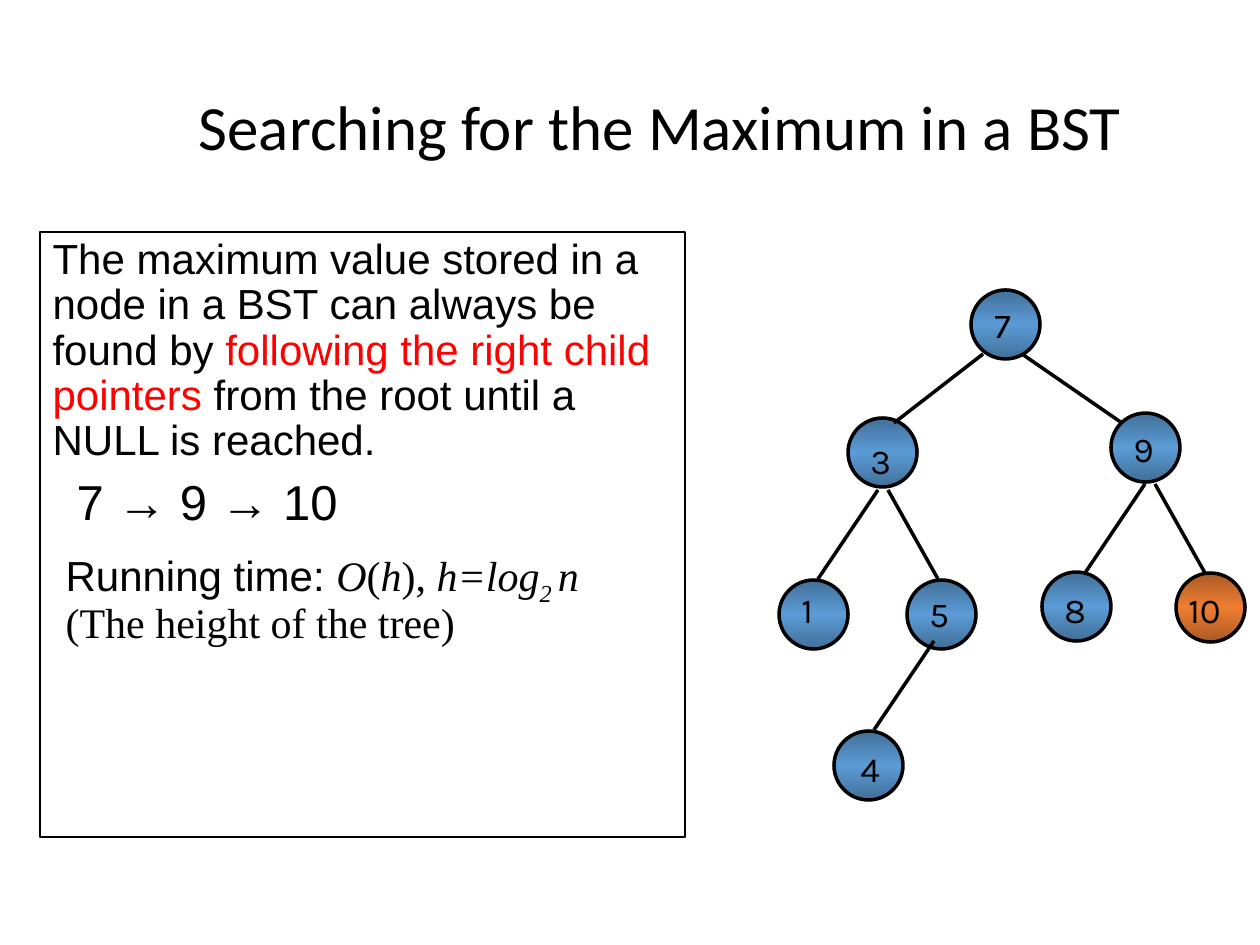
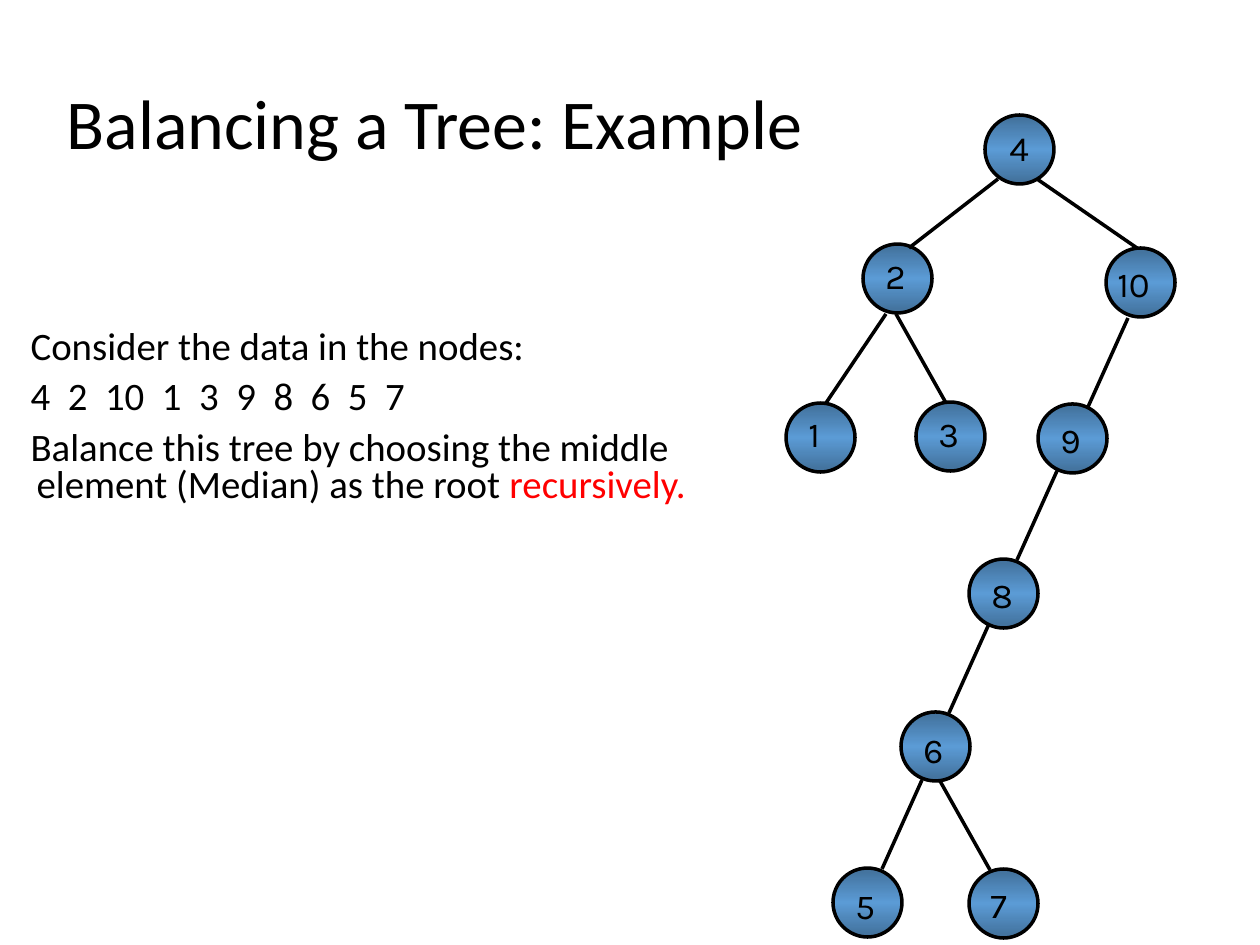
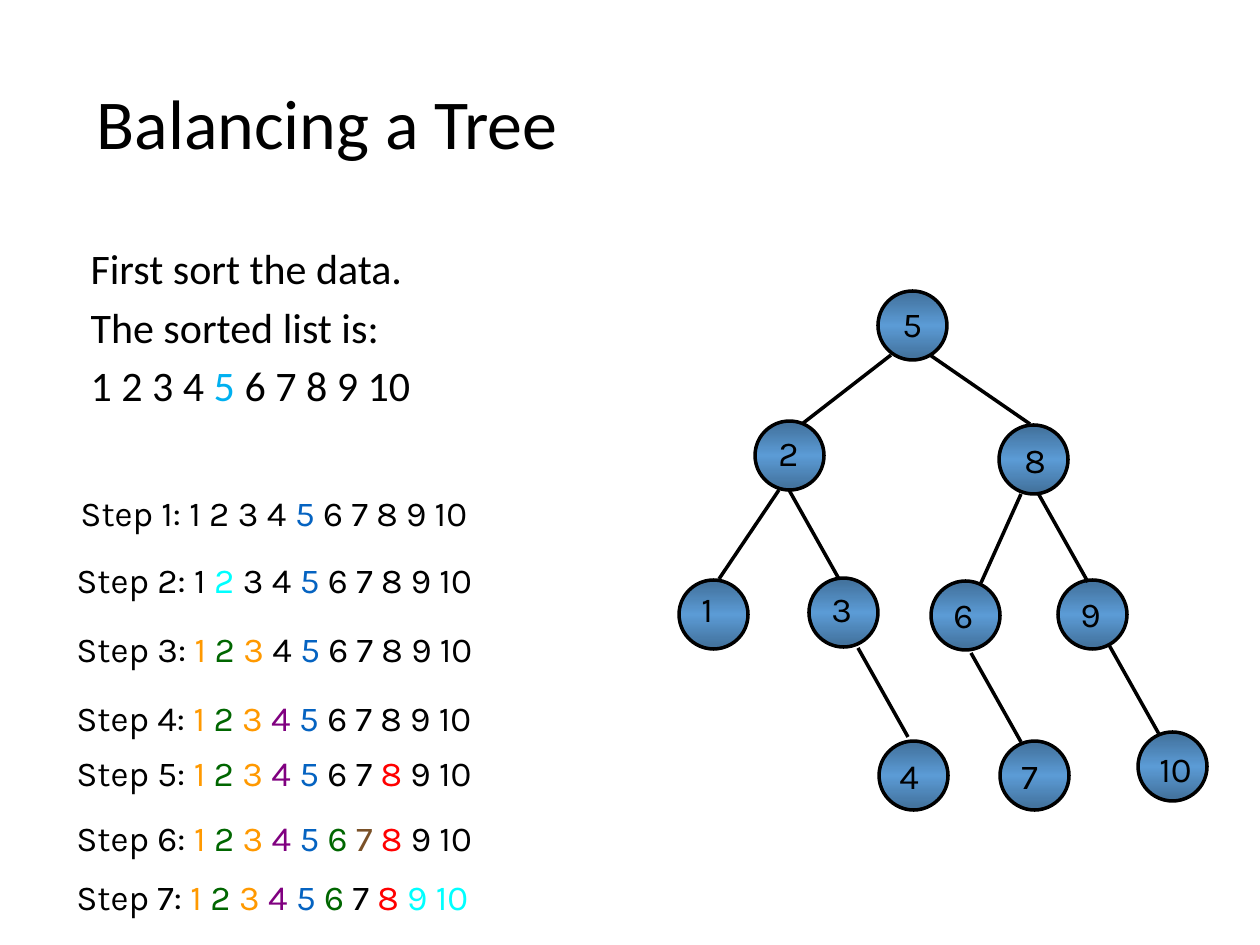
import copy
import itertools

import lxml.etree
import pptx
import pptx.dml.color
import pptx.enum.shapes
import pptx.enum.text
import pptx.oxml.ns
import pptx.util

PX = 914400 / 126
BLACK, RED, SKY = "000000", "FF0000", "00B0F0"
ORANGE, GREEN, PURPLE = "FF9900", "006600", "800080"
BLUE, BROWN, CYAN = "0563C1", "7A5128", "00FFFF"
NODE_BLUE, NODE_ORANGE = "5B9BD5", "ED7D31"

NODE_SIZE, LABEL_HEIGHT = 69, 54
LABEL_FORMAT = {"name": "Karla", "size": 20}

# Horizontal and vertical run of each kind of tree edge
ROOT_LEFT, ROOT_RIGHT = (-89, 69), (100, 69)
LEFT, STEEP_LEFT, RIGHT = (-60, 89), (-40, 89), (50, 89)

# Nodes: value, circle corner, label corner. Edges: start, kind.
MAXIMUM_NODES = [
    (7, (971, 290), (982, 297)),
    (3, (848, 418), (858, 433)),
    (9, (1111, 413), (1121, 421)),
    (1, (779, 580), (789, 582)),
    (5, (907, 580), (917, 586)),
    (8, (1042, 572), (1052, 582)),
    (10, (1176, 573), (1176, 582)),
    (4, (834, 731), (848, 741)),
]
MAXIMUM_EDGES = [
    ((983, 354), ROOT_LEFT), ((1022, 354), ROOT_RIGHT),
    ((878, 490), LEFT), ((888, 490), RIGHT),
    ((1145, 484), LEFT), ((1155, 484), RIGHT),
    ((934, 641), LEFT),
]
UNBALANCED_NODES = [
    (4, (985, 115), (997, 120)),
    (2, (863, 244), (873, 248)),
    (10, (1106, 248), (1105, 256)),
    (1, (786, 403), (796, 406)),
    (3, (916, 402), (926, 406)),
    (9, (1038, 404), (1048, 412)),
    (8, (969, 559), (979, 567)),
    (6, (901, 712), (911, 722)),
    (5, (833, 868), (843, 878)),
    (7, (969, 869), (978, 877)),
]
UNBALANCED_EDGES = [
    ((998, 179), ROOT_LEFT), ((1037, 179), ROOT_RIGHT),
    ((886, 314), LEFT), ((896, 314), RIGHT),
    ((1128, 318), STEEP_LEFT), ((1057, 471), STEEP_LEFT),
    ((989, 624), STEEP_LEFT), ((922, 780), STEEP_LEFT),
    ((940, 781), RIGHT),
]
BALANCED_NODES = [
    (5, (878, 291), (890, 296)),
    (2, (755, 421), (766, 425)),
    (8, (999, 425), (1012, 432)),
    (1, (679, 580), (689, 581)),
    (3, (809, 578), (819, 581)),
    (6, (931, 581), (941, 587)),
    (9, (1058, 580), (1068, 586)),
    (4, (879, 741), (887, 748)),
    (7, (1000, 741), (1009, 748)),
    (10, (1138, 732), (1147, 741)),
]
BALANCED_EDGES = [
    ((891, 355), ROOT_LEFT), ((930, 355), ROOT_RIGHT),
    ((779, 490), LEFT), ((789, 490), RIGHT),
    ((1021, 494), STEEP_LEFT), ((1038, 493), RIGHT),
    ((858, 648), RIGHT), ((971, 653), RIGHT), ((1109, 645), RIGHT),
]

# Corner of each step's line, and the numbers that change colour there
BALANCING_STEPS = [
    ((68, 485), {5: BLUE}),
    ((64, 552), {2: CYAN}),
    ((64, 621), {1: ORANGE, 2: GREEN, 3: ORANGE}),
    ((64, 690), {4: PURPLE}),
    ((64, 745), {8: RED}),
    ((64, 810), {6: GREEN, 7: BROWN}),
    ((64, 869), {7: BLACK, 9: CYAN, 10: CYAN}),
]


def emu(*lengths):
    return [pptx.util.Emu(round(length * PX)) for length in lengths]


def rgb(colour):
    return pptx.dml.color.RGBColor.from_string(colour)


def add_xml(parent, tag, **attributes):
    return lxml.etree.SubElement(parent, pptx.oxml.ns.qn(tag), attributes)


def write_runs(paragraph, runs, base):
    """Add (text, format changes) pairs, each starting from the base format."""
    for text, changes in runs:
        run = paragraph.add_run()
        run.text = text
        values = {"color": BLACK, **base, **changes}
        run.font.color.rgb = rgb(values.pop("color"))
        run.font.size = pptx.util.Pt(values.pop("size"))
        if "baseline" in values:
            run._r.get_or_add_rPr().set("baseline", values.pop("baseline"))
        for name, value in values.items():
            setattr(run.font, name, value)


def place(placeholder, box):
    for name, length in zip(("left", "top", "width", "height"), emu(*box)):
        setattr(placeholder, name, length)
    frame = placeholder.text_frame
    frame.auto_size = pptx.enum.text.MSO_AUTO_SIZE.NONE
    return frame


def set_title(slide, text, box, size):
    frame = place(slide.shapes.title, box)
    frame.vertical_anchor = pptx.enum.text.MSO_ANCHOR.MIDDLE
    heading = frame.paragraphs[0]
    heading.alignment = pptx.enum.text.PP_ALIGN.LEFT
    heading.line_spacing = 0.9
    write_runs(heading, [(text, {})], {"name": "Calibri", "size": size})


def set_body(slide, paragraphs, box, base, line_spacing=0.9):
    """Fill the body with (runs, margin, first-line indent, space before)."""
    body = slide.placeholders[1]
    frame = place(body, box)
    for index, (runs, margin, indent, before) in enumerate(paragraphs):
        paragraph = frame.add_paragraph() if index else frame.paragraphs[0]
        paragraph.line_spacing = line_spacing
        paragraph.space_before = pptx.util.Pt(before)
        properties = paragraph._p.get_or_add_pPr()
        for name, length in zip(("marL", "indent"), emu(margin, indent)):
            properties.set(name, str(int(length)))
        add_xml(properties, "a:buNone")
        write_runs(paragraph, runs, base)
    return body


def add_text(slide, runs, corner, width):
    frame = slide.shapes.add_textbox(*emu(*corner, width, LABEL_HEIGHT)).text_frame
    frame.word_wrap = True
    frame.auto_size = pptx.enum.text.MSO_AUTO_SIZE.SHAPE_TO_FIT_TEXT
    write_runs(frame.paragraphs[0], runs, LABEL_FORMAT)


def shade_fill(shape, colour):
    """Fill with a vertical gradient that darkens towards top and bottom."""
    shape.fill.gradient()
    shape.fill.gradient_angle = 90
    stop_list = shape._element.spPr.find(".//" + pptx.oxml.ns.qn("a:gsLst"))
    stop_list.insert(1, copy.deepcopy(stop_list[0]))
    for stop, position in zip(shape.fill.gradient_stops, (0, 0.5, 1)):
        stop.position = position
        stop.color.rgb = rgb(colour)
    for edge_stop in (stop_list[0], stop_list[-1]):
        add_xml(edge_stop[0], "a:shade", val="47000")


def style_line(line, width):
    line.color.rgb = rgb(BLACK)
    line.width = pptx.util.Pt(width)


def add_node(slide, corner, colour):
    node = slide.shapes.add_shape(
        pptx.enum.shapes.MSO_SHAPE.OVAL, *emu(*corner, NODE_SIZE, NODE_SIZE))
    node.shadow.inherit = False
    shade_fill(node, colour)
    style_line(node.line, 2)


def add_edge(slide, start, run):
    end = [a + b for a, b in zip(start, run)]
    edge = slide.shapes.add_connector(
        pptx.enum.shapes.MSO_CONNECTOR.STRAIGHT, *emu(*start, *end))
    style_line(edge.line, 2)
    add_xml(edge._element.spPr, "a:effectLst")


def add_tree(slide, nodes, edges, highlighted=None):
    for value, corner, _ in nodes:
        add_node(slide, corner, NODE_ORANGE if value == highlighted else NODE_BLUE)
    for start, run in edges:
        add_edge(slide, start, run)
    for value, _, corner in nodes:
        add_text(slide, [(str(value), {})], corner, 64 if value > 9 else 48)


def add_steps(slide):
    colours = dict.fromkeys(range(1, 11), BLACK)
    for number, (corner, changes) in enumerate(BALANCING_STEPS, 1):
        colours.update(changes)
        runs = [(f"Step {number}: ", {})]
        for colour, values in itertools.groupby(colours, colours.get):
            text = "".join(f"{value} " for value in values)
            runs.append((text, {"color": colour}))
        runs[-1] = (runs[-1][0].rstrip(), runs[-1][1])
        add_text(slide, runs, corner, 455)


def build_maximum(slide):
    set_title(slide, "Searching for the Maximum in a BST", (186, 29, 1074, 202), 36)
    serif = {"name": "Times New Roman"}
    italic = {**serif, "italic": True}
    explanation = [
        ("The maximum value stored in a node in a BST can always be found by ", {}),
        ("following the right child pointers ", {"color": RED}),
        ("from the root until a NULL is reached.", {}),
    ]
    running_time = [
        ("Running time: ", {}), ("O", italic), ("(", serif), ("h", italic),
        ("),", serif), (" h=log", italic),
        ("2 ", {**italic, "baseline": "-25000"}), ("n  ", italic),
        ("(The height of the tree)", serif),
    ]
    body = set_body(slide, [
        (explanation, 0, 0, 7.5),
        ([("7 → 9 → 10", {"size": 28})], 24, 0, 7.5),
        (running_time, 13, 0, 11),
    ], (40, 232, 645, 605), {"name": "Arial", "size": 24})
    style_line(body.line, 0.75)
    add_tree(slide, MAXIMUM_NODES, MAXIMUM_EDGES, highlighted=10)


def build_unbalanced(slide):
    set_title(slide, "Balancing a Tree: Example", (54, 26, 1206, 202), 40)
    task = [
        ("Balance this tree by choosing the middle element (Median) as the root ", {}),
        ("recursively.", {"color": RED}),
    ]
    lines = [
        [("Consider the data in the nodes:", {})],
        [("4  2  10  1  3  9  8  6  5  7", {})],
        task,
    ]
    set_body(slide, [(line, 24, -6, 7.5) for line in lines],
             (0, 324, 757, 198), {"name": "Calibri", "size": 22.2}, 0.8)
    add_tree(slide, UNBALANCED_NODES, UNBALANCED_EDGES)


def build_balanced(slide):
    set_title(slide, "Balancing a Tree", (84, 26, 1176, 202), 40)
    lines = [
        [("First sort the data.", {})],
        [("The sorted list is:", {})],
        [("1 2 3 4 ", {}), ("5 ", {"color": SKY}), ("6 7 8 9 10", {})],
    ]
    set_body(slide, [(line, 24, -24, 7.5) for line in lines],
             (78, 242, 362, 179), {"name": "Calibri", "size": 24})
    add_tree(slide, BALANCED_NODES, BALANCED_EDGES)
    add_steps(slide)


def main():
    deck = pptx.Presentation()
    deck.slide_width, deck.slide_height = emu(1260, 945)
    for build in (build_maximum, build_unbalanced, build_balanced):
        build(deck.slides.add_slide(deck.slide_layouts[1]))
    deck.save("out.pptx")


if __name__ == "__main__":
    main()
